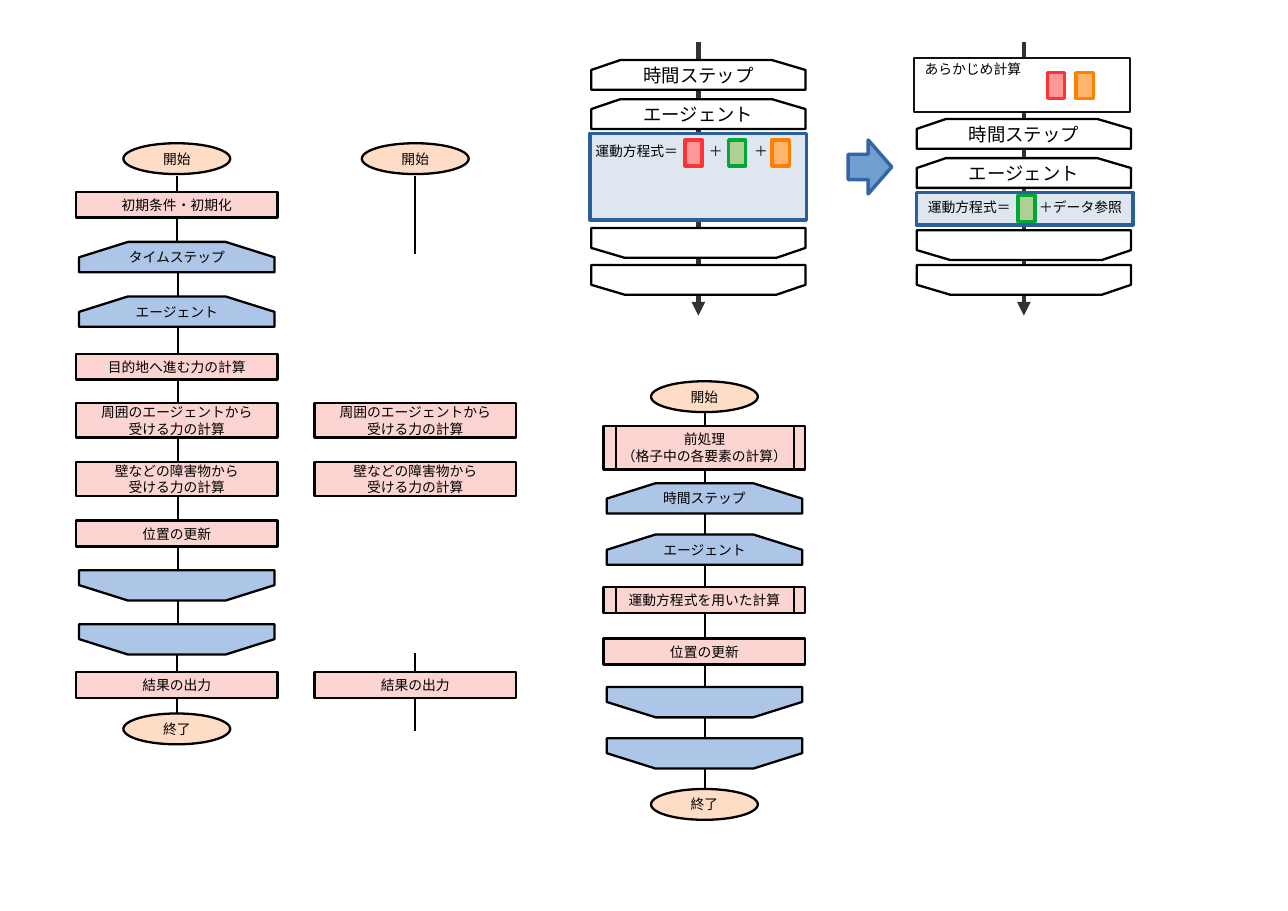
from dataclasses import dataclass
from typing import Any, NamedTuple

from lxml.etree import SubElement
from pptx import Presentation
from pptx.dml.color import RGBColor
from pptx.enum.shapes import MSO_CONNECTOR, MSO_SHAPE as SHP
from pptx.enum.text import MSO_ANCHOR, MSO_AUTO_SIZE, PP_ALIGN
from pptx.oxml.ns import qn
from pptx.util import Emu, Inches, Pt


class Style(NamedTuple):
    fill: str
    line: str
    weight: float


@dataclass(frozen=True)
class Theme:
    ink: str = "000000"
    axis: str = "333333"
    small: int = 18
    large: int = 24
    thin: float = 2.3
    normal: float = 3
    thick: float = 6
    font: str = "Noto Sans CJK JP"
    label_font: str = "Arial"
    terminal: Style = Style("FEDCC6", "000000", 3)
    process: Style = Style("FCD4D1", "000000", 3)
    loop: Style = Style("ADC5E7", "000000", 3)
    plain: Style = Style("FFFFFF", "000000", 3)
    advance: Style = Style("FFFFFF", "111111", 3)
    equation: Style = Style("DEE6EF", "2A6099", 4.5)
    arrow: Style = Style("729FCF", "3465A4", 4.5)
    red: Style = Style("FF9999", "FF3333", 4.5)
    green: Style = Style("AFD095", "00A933", 4.5)
    orange: Style = Style("FFB66C", "FF8000", 4.5)


@dataclass(frozen=True)
class GateForm:
    """Loop-limit outline: size, cut corners and shoulder height."""
    width: float
    height: float
    left_cut: float
    right_cut: float
    shoulder: float
    style: Style
    size: int


class Step(NamedTuple):
    kind: str  # terminal, process, open (loop start) or close (loop end)
    top: float
    text: str = ""
    height: float = 0.47


class Line(NamedTuple):
    x: float
    top: float
    bottom: float


class Box(NamedTuple):
    x: float
    y: float
    style: Style
    w: float = 0.31
    h: float = 0.47
    shape: Any = SHP.RECTANGLE


class Label(NamedTuple):
    x: float
    y: float
    w: float
    h: float
    text: str
    wrap: bool = True


T = Theme()
BLUE_GATE = GateForm(3.55, 0.55, 0.89, 0.89, 0.28, T.loop, T.small)
WHITE_GATE = GateForm(3.89, 0.54, 0.53, 0.61, 0.18, T.plain, T.large)
SHAPE_TEXT = {"word_wrap": True, "vertical_anchor": MSO_ANCHOR.MIDDLE,
              "margin_left": Inches(0.12), "margin_right": Inches(0.12),
              "margin_top": Inches(0.07), "margin_bottom": Inches(0.07)}
LABEL_TEXT = {"auto_size": MSO_AUTO_SIZE.SHAPE_TO_FIT_TEXT,
              "margin_left": Inches(0.1), "margin_right": Inches(0.1),
              "margin_top": Inches(0.05), "margin_bottom": Inches(0.05)}


def set_attrs(obj: Any, values: dict[str, Any]) -> None:
    for name, value in values.items():
        setattr(obj, name, value)


def write(tf: Any, text: str, font: str, size: int, align: Any) -> None:
    for i, line in enumerate(text.split("\n")):
        p = tf.paragraphs[0] if i == 0 else tf.add_paragraph()
        p.alignment = align
        r = p.add_run()
        r.text = line
        set_attrs(r.font, {"name": font, "size": Pt(size)})
        r.font.color.rgb = RGBColor.from_string(T.ink)
        SubElement(r.font._element, qn("a:ea"), typeface=T.font)


def finish(s: Any, style: Style, text: str = "", size: int = T.small) -> None:
    s.shadow.inherit = False
    s.fill.solid()
    s.fill.fore_color.rgb = RGBColor.from_string(style.fill)
    s.line.color.rgb = RGBColor.from_string(style.line)
    s.line.width = Pt(style.weight)
    if text:
        set_attrs(s.text_frame, SHAPE_TEXT)
        write(s.text_frame, text, T.font, size, PP_ALIGN.CENTER)


def add_box(shapes: Any, b: Box, text: str = "") -> Any:
    s = shapes.add_shape(b.shape, *map(Inches, (b.x, b.y, b.w, b.h)))
    finish(s, b.style, text)
    return s


def add_gate(shapes: Any, center: float, step: Step, f: GateForm) -> None:
    w, h = f.width, f.height
    pts = [(f.left_cut, 0), (w - f.right_cut, 0), (w, f.shoulder), (w, h), (0, h), (0, f.shoulder)]
    if step.kind == "close":
        pts = [(w - x, h - y) for x, y in pts]
    left = center - w / 2
    emu = [(Inches(left + x), Inches(step.top + y)) for x, y in pts]
    fb = shapes.build_freeform(*emu[0], scale=1.0)
    fb.add_line_segments(emu[1:], close=True)
    finish(fb.convert_to_shape(), f.style, step.text, f.size)


def add_line(shapes: Any, line: Line, color: str = T.ink,
             weight: float = T.normal, arrow: bool = False) -> None:
    c = shapes.add_connector(MSO_CONNECTOR.STRAIGHT, *map(Inches, (line.x, line.top, line.x, line.bottom)))
    c.line.color.rgb = RGBColor.from_string(color)
    c.line.width = Pt(weight)
    spPr = c._element.spPr
    if arrow:
        SubElement(spPr.find(qn("a:ln")), qn("a:tailEnd"), type="triangle")
    SubElement(spPr, qn("a:effectLst"))


def add_label(shapes: Any, lb: Label) -> None:
    tf = shapes.add_textbox(*map(Inches, (lb.x, lb.y, lb.w, lb.h))).text_frame
    set_attrs(tf, LABEL_TEXT | {"word_wrap": lb.wrap})
    write(tf, lb.text, T.label_font, T.small, PP_ALIGN.LEFT)


def add_flow(shapes: Any, center: float, steps: list[Step], gate: GateForm) -> None:
    for st in steps:
        if st.kind == "terminal":
            add_box(shapes, Box(center - 0.97, st.top, T.terminal, 1.94, 0.56, SHP.OVAL), st.text)
        elif st.kind == "process":
            add_box(shapes, Box(center - 1.83, st.top, T.process, 3.66, st.height), st.text)
        else:
            add_gate(shapes, center, st, gate)


# Steps shared by the full and the partial flow
COMMON = [Step("terminal", 2.6, "開始"),
          Step("process", 7.32, "周囲のエージェントから\n受ける力の計算", 0.62),
          Step("process", 8.39, "壁などの障害物から\n受ける力の計算", 0.61),
          Step("process", 12.2, "結果の出力")]
FULL = COMMON + [
    Step("process", 3.48, "初期条件・初期化"),
    Step("open", 4.39, "タイムステップ"), Step("open", 5.38, "エージェント"),
    Step("process", 6.42, "目的地へ進む力の計算"), Step("process", 9.45, "位置の更新"),
    Step("close", 10.35), Step("close", 11.33), Step("terminal", 12.95, "終了")]
IMPROVED = [
    Step("terminal", 6.92, "開始"), Step("process", 7.73, "前処理\n（格子中の各要素の計算）", 0.79),
    Step("open", 8.77, "時間ステップ"), Step("open", 9.7, "エージェント"),
    Step("process", 10.66, "運動方程式を用いた計算"), Step("process", 11.59, "位置の更新"),
    Step("close", 12.47), Step("close", 13.4), Step("terminal", 14.32, "終了")]
# Loop panels: centre and the tops of the four gates
PANELS = {12.68: (1.09, 1.8, 4.14, 4.81), 18.59: (2.16, 2.87, 4.18, 4.81)}
FLOW_LINES = [Line(3.23, 4.53, 11.77), Line(12.8, 7.4, 14.65)] + [
    Line(x, top, top + 1.42) for x in (3.21, 7.54) for top in (3.19, 11.85)]
SUBROUTINE_BARS = [Line(x, top, bottom) for top, bottom in ((7.73, 8.52), (10.66, 11.13))
                   for x in (11.18, 14.41)]
BOXES = [Box(16.64, 3.49, T.equation, 3.93, 0.59), Box(10.71, 2.42, T.equation, 3.93, 1.57),
         Box(16.59, 1.05, T.advance, 3.93, 0.98),
         Box(12.44, 2.54, T.red), Box(13.23, 2.54, T.green), Box(14.02, 2.54, T.orange),
         Box(19.02, 1.32, T.red), Box(19.54, 1.32, T.orange), Box(18.48, 3.55, T.green)]
LABELS = [Label(12.81, 2.55, 0.16, 0.46, "＋"), Label(13.63, 2.55, 0.16, 0.46, "＋"),
          Label(10.71, 2.55, 1.74, 2.27, "運動方程式＝"), Label(16.75, 3.56, 1.74, 2.27, "運動方程式＝"),
          Label(18.77, 3.56, 1.83, 0.82, "＋データ参照"),
          Label(16.69, 1.05, 1.95, 0.46, "あらかじめ計算", False)]


def main() -> None:
    prs = Presentation()
    prs.slide_width = Emu(21383625)
    prs.slide_height = Emu(15119350)
    shapes = prs.slides.add_slide(prs.slide_layouts[6]).shapes

    # Flowcharts
    for line in FLOW_LINES:
        add_line(shapes, line)
    for center, steps in ((3.21, FULL), (7.54, COMMON), (12.79, IMPROVED)):
        add_flow(shapes, center, steps, BLUE_GATE)
    for bar in SUBROUTINE_BARS:
        add_line(shapes, bar, weight=T.thin)

    # Loop panels before and after the change
    gates = (("open", "時間ステップ"), ("open", "エージェント"), ("close", ""), ("close", ""))
    for center, tops in PANELS.items():
        add_line(shapes, Line(center, 0.77, 5.73), T.axis, T.thick, arrow=True)
        steps = [Step(kind, top, text) for top, (kind, text) in zip(tops, gates)]
        add_flow(shapes, center, steps, WHITE_GATE)
    arrow = add_box(shapes, Box(15.4, 2.54, T.arrow, 0.79, 0.98, SHP.RIGHT_ARROW))
    arrow.adjustments[0], arrow.adjustments[1] = 0.47, 0.54

    # Equations and their terms
    for box in BOXES:
        add_box(shapes, box)
    for label in LABELS:
        add_label(shapes, label)
    prs.save("out.pptx")


if __name__ == "__main__":
    main()
